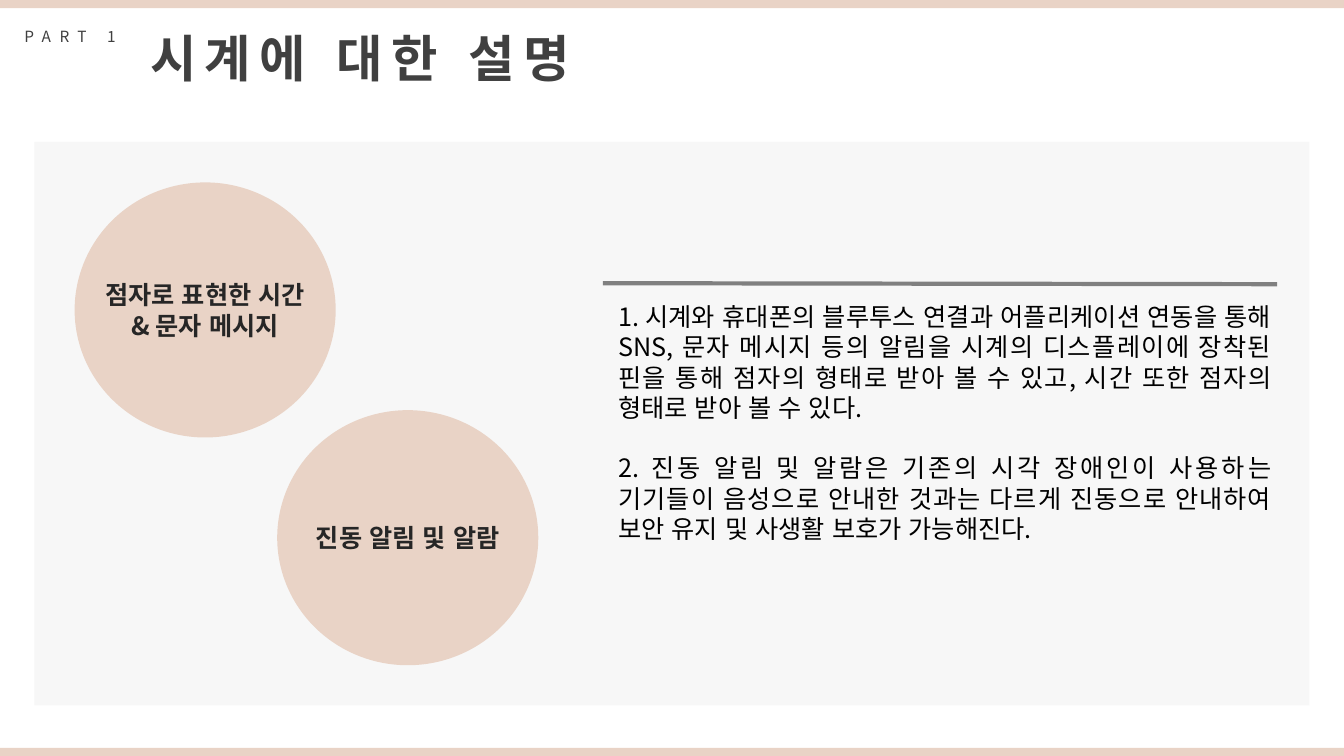
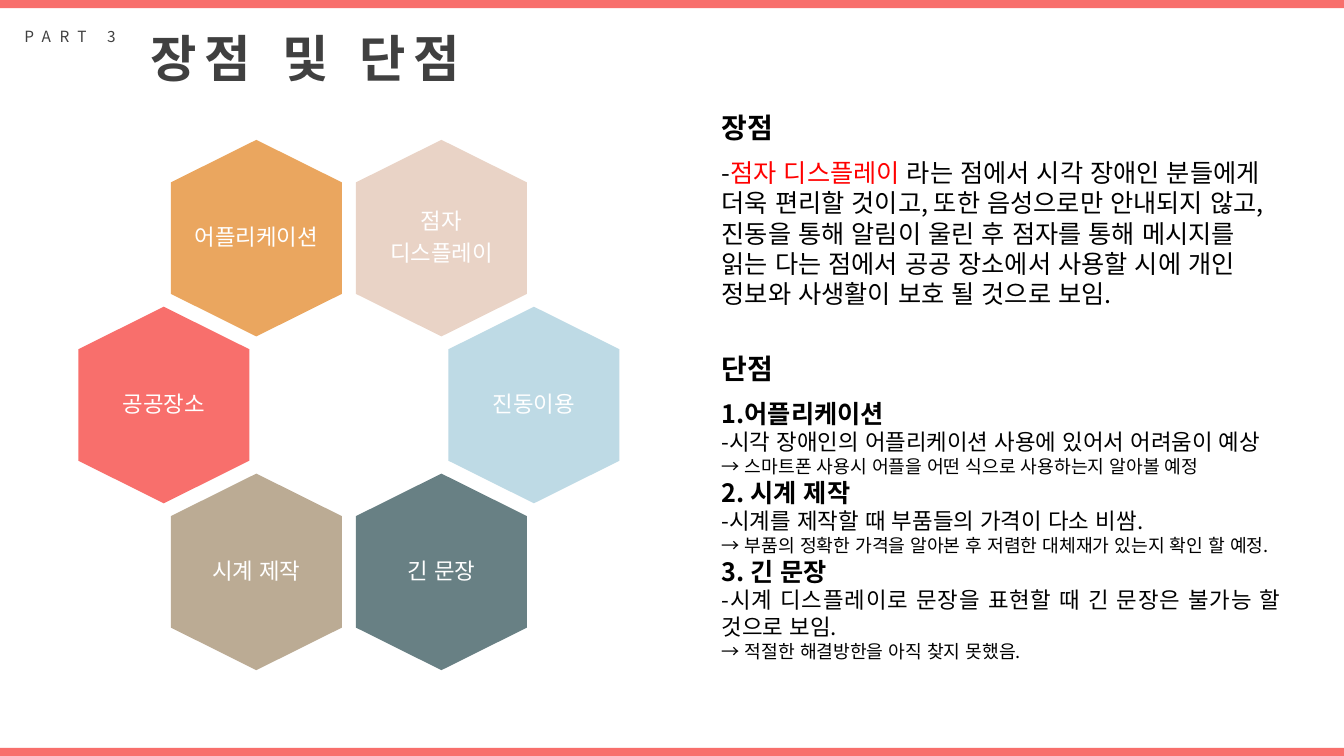
import pptx
import pptx.util
import pptx.dml.color
import pptx.enum.lang
import pptx.enum.shapes
import pptx.enum.text
import pptx.oxml.ns
import lxml.etree

Pt = pptx.util.Pt
ALIGN = pptx.enum.text.PP_ALIGN
ANCHOR = pptx.enum.text.MSO_ANCHOR
SHAPE = pptx.enum.shapes.MSO_SHAPE
qn = pptx.oxml.ns.qn

FONT = "Noto Sans CJK KR"
WIDTH, HEIGHT = 960, 540
BAND_HEIGHT = 5.8
BLUSH, CORAL, ORANGE = "E9D3C6", "F86F6C", "EAA65F"
SKY, SAND, TEAL = "BEDAE5", "BBAB94", "688084"
PANEL, RULE, RED = "F7F7F7", "808080", "FF0000"
BLACK, WHITE, HEADING, LABEL = "000000", "FFFFFF", "404040", "262626"


def color(code):
    """Turn a hex string into a colour."""
    return pptx.dml.color.RGBColor.from_string(code)


def style_span(span, size, code, bold=False, spacing=0):
    """Format one run as Korean, with the same font for both scripts."""
    span.font.size = Pt(size)
    span.font.bold = bold
    span.font.color.rgb = color(code)
    span.font.name = FONT
    span.font.language_id = pptx.enum.lang.MSO_LANGUAGE_ID.KOREAN
    properties = span._r.get_or_add_rPr()
    lxml.etree.SubElement(properties, qn("a:ea")).set("typeface", FONT)
    if spacing:
        properties.set("spc", str(spacing * 100))


def remove_bullet(para):
    """Take the inherited bullet and hanging indent off a paragraph."""
    properties = para._p.get_or_add_pPr()
    properties.set("marL", "0")
    properties.set("indent", "0")
    lxml.etree.SubElement(properties, qn("a:buNone"))


class Slides:
    """The shared style and the page being filled."""

    def __init__(self):
        """Start an empty widescreen deck."""
        self.deck = pptx.Presentation()
        self.deck.slide_width, self.deck.slide_height = Pt(WIDTH), Pt(HEIGHT)
        self.page = None

    def start(self, layout, part, title, band):
        """Add a page with its two bands, part label and title."""
        self.page = self.deck.slides.add_slide(self.deck.slide_layouts.get_by_name(layout))
        for top in (0, HEIGHT - BAND_HEIGHT):
            self.shape(SHAPE.RECTANGLE, 0, top, WIDTH, BAND_HEIGHT, band)
        heading = self.page.shapes.title
        self.place(heading, 100, 15.8, 330, 51)
        self.heading_text(heading, title, 36, True)
        label = self.page.shapes.add_textbox(Pt(10.4), Pt(15.8), Pt(86), Pt(21))
        self.heading_text(label, part, 11)

    def place(self, box, left, top, width, height):
        """Move and size a box."""
        box.left, box.top = Pt(left), Pt(top)
        box.width, box.height = Pt(width), Pt(height)

    def heading_text(self, box, text, size, bold=False):
        """Write one widely spaced line at the top left of a box."""
        frame = box.text_frame
        frame.text = text
        frame.word_wrap = False
        frame.auto_size = pptx.enum.text.MSO_AUTO_SIZE.NONE
        frame.vertical_anchor = ANCHOR.TOP
        para = frame.paragraphs[0]
        para.alignment = ALIGN.LEFT
        style_span(para.runs[0], size, HEADING, bold, spacing=6)

    def paint(self, box, fill):
        """Give a shape a plain fill without line or shadow."""
        box.shadow.inherit = False
        box.fill.solid()
        box.fill.fore_color.rgb = color(fill)
        box.line.fill.background()

    def shape(self, kind, left, top, width, height, fill):
        """Add a plain preset shape."""
        box = self.page.shapes.add_shape(kind, Pt(left), Pt(top), Pt(width), Pt(height))
        self.paint(box, fill)
        return box

    def panel(self, left, top, width, height):
        """Add a pale panel behind everything else."""
        element = self.shape(SHAPE.RECTANGLE, left, top, width, height, PANEL).element
        element.getparent().insert(2, element)

    def rule(self, start, end):
        """Draw a grey line between two points."""
        line = self.page.shapes.add_connector(
            pptx.enum.shapes.MSO_CONNECTOR.STRAIGHT, *map(Pt, start + end))
        line.line.color.rgb = color(RULE)
        line.line.width = Pt(3)
        lxml.etree.SubElement(line.element.spPr, qn("a:effectLst"))

    def centre_text(self, box, text, size, code, bold=False, line=1, after=0):
        """Write centred lines in a shape."""
        frame = box.text_frame
        frame.text = text
        frame.vertical_anchor = ANCHOR.MIDDLE
        for para in frame.paragraphs:
            para.alignment = ALIGN.CENTER
            para.line_spacing = line
            para.space_after = Pt(after)
            style_span(para.runs[0], size, code, bold)

    def circle(self, left, top, text):
        """Add a blush circle with a bold label."""
        box = self.shape(SHAPE.OVAL, left, top, 186.5, 182.2, BLUSH)
        self.centre_text(box, text, 18, LABEL, True)
        box.text_frame.word_wrap = False

    def hexagon(self, centre, top, text, fill):
        """Add a pointed-top hexagon with a white label."""
        half, height, shoulder = 61.1, 140.4, 30.4
        right, left = Pt(centre + half), Pt(centre - half)
        upper, lower = Pt(top + shoulder), Pt(top + height - shoulder)
        outline = self.page.shapes.build_freeform(Pt(centre), Pt(top))
        outline.add_line_segments([
            (right, upper), (right, lower), (Pt(centre), Pt(top + height)),
            (left, lower), (left, upper)], close=True)
        box = outline.convert_to_shape()
        self.paint(box, fill)
        self.centre_text(box, text, 16, WHITE, line=0.9, after=5.6)
        frame = box.text_frame
        frame.word_wrap = True
        frame.margin_left = frame.margin_right = Pt(14.4)

    def body(self, index, left, top, width, height, lines, align=ALIGN.JUSTIFY):
        """Fill a body placeholder; a line is (spans, size, bold, space after)."""
        box = self.page.placeholders[index]
        self.place(box, left, top, width, height)
        frame = box.text_frame
        frame.word_wrap = True
        frame.auto_size = pptx.enum.text.MSO_AUTO_SIZE.NONE
        frame.text = "\n".join("" for _ in lines)
        for para, (spans, size, bold, after) in zip(frame.paragraphs, lines):
            para.alignment = align
            para.line_spacing = 1
            para.space_before, para.space_after = Pt(0), Pt(after)
            remove_bullet(para)
            for text, code in spans:
                span = para.add_run()
                span.text = text
                style_span(span, size, code, bold)


def plain(text, size, bold=False, after=0):
    """Make a body line of one black span."""
    return [(text, BLACK)], size, bold, after


slides = Slides()

slides.start("Title and Content", "PART 1", "시계에 대한 설명", BLUSH)
slides.panel(24.5, 101.3, 910.8, 402.5)
slides.body(1, 434.5, 211.7, 481, 181.4, [
    plain("1. 시계와 휴대폰의 블루투스 연결과 어플리케이션 연동을 통해 SNS, 문자 메시지 등의 "
          "알림을 시계의 디스플레이에 장착된 핀을 통해 점자의 형태로 받아 볼 수 있고, "
          "시간 또한 점자의 형태로 받아 볼 수 있다.", 18, after=21.6),
    plain("2. 진동 알림 및 알람은 기존의 시각 장애인이 사용하는 기기들이 음성으로 안내한 "
          "것과는 다르게 진동으로 안내하여 보안 유지 및 사생활 보호가 가능해진다.", 18),
])
slides.rule((430.6, 202.3), (912.2, 203))
slides.circle(53.3, 130.3, "점자로 표현한 시간\n& 문자 메시지")
slides.circle(198, 293, "진동 알림 및 알람")

slides.start("Two Content", "PART 3", "장점 및 단점", CORAL)
HALF_COLUMN, ROW = 66.1, 119.2
for column, row, text, fill in [
        (3, 0, "점자\n디스플레이", BLUSH),
        (1, 0, "어플리케이션", ORANGE),
        (1, 2, "시계 제작", SAND),
        (4, 1, "진동이용", SKY),
        (3, 2, "긴 문장", TEAL),
        (0, 1, "공공장소", CORAL)]:
    slides.hexagon(117 + column * HALF_COLUMN, 99.9 + row * ROW, text, fill)

slides.body(1, 508.3, 75.2, 414, 150.5, [
    plain("장점", 20, True, after=9.6),
    ([("-", BLACK), ("점자 디스플레이 ", RED),
      ("라는 점에서 시각 장애인 분들에게 더욱 편리할 것이고, 또한 음성으로만 안내되지 않고, "
       "진동을 통해 알림이 울린 후 점자를 통해 메시지를 읽는 다는 점에서 공공 장소에서 "
       "사용할 시에 개인 정보와 사생활이 보호 될 것으로 보임.", BLACK)], 18, False, 0),
], ALIGN.LEFT)

drawbacks = [plain("단점", 20, True, after=9.6)]
for heading, problem, answer in [
        ("1.어플리케이션", "-시각 장애인의 어플리케이션 사용에 있어서 어려움이 예상",
         "→ 스마트폰 사용시 어플을 어떤 식으로 사용하는지 알아볼 예정"),
        ("2. 시계 제작", "-시계를 제작할 때 부품들의 가격이 다소 비쌈.",
         "→ 부품의 정확한 가격을 알아본 후 저렴한 대체재가 있는지 확인 할 예정."),
        ("3. 긴 문장", "-시계 디스플레이로 문장을 표현할 때 긴 문장은 불가능 할 것으로 보임.",
         "→ 적절한 해결방한을 아직 찾지 못했음.")]:
    drawbacks += [plain(heading, 18, True), plain(problem, 16), plain(answer, 13)]
slides.body(2, 508.3, 247.2, 414, 254.2, drawbacks)

slides.deck.save("out.pptx")
